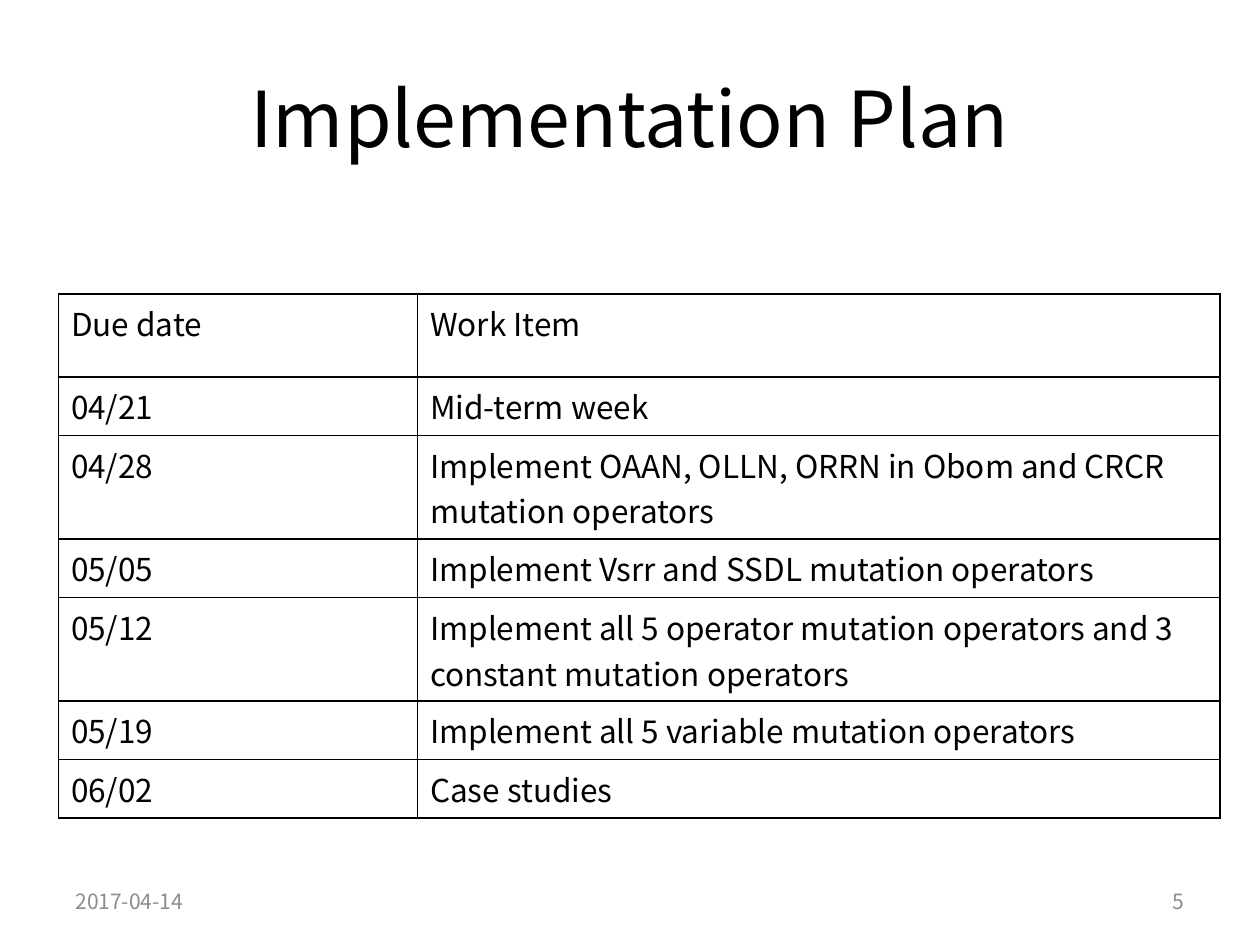
"""Build the implementation plan slide with its schedule of due dates."""
from dataclasses import dataclass

from lxml.etree import SubElement
from pptx import Presentation
from pptx.dml.color import RGBColor
from pptx.enum.text import MSO_ANCHOR, PP_ALIGN
from pptx.oxml.ns import qn
from pptx.slide import Slide
from pptx.table import _Cell
from pptx.text.text import TextFrame
from pptx.util import Pt


@dataclass(frozen=True)
class Theme:
    font: str = "Noto Sans CJK KR"
    ink: str = "000000"
    muted: str = "8C8C8C"
    title_size: float = 44
    body_size: float = 18
    footer_size: float = 12
    border_width: float = 1


@dataclass(frozen=True)
class Label:
    wording: str
    left: float
    top: float
    width: float
    height: float
    size: float
    color: str
    align: PP_ALIGN


@dataclass(frozen=True)
class Task:
    due: str
    work: str
    height: float = 33.4


THEME = Theme()
LABELS = (
    Label("Implementation Plan", 36, 21.6, 648, 90,
          THEME.title_size, THEME.ink, PP_ALIGN.CENTER),
    Label("2017-04-14", 36, 500.4, 168, 28.8,
          THEME.footer_size, THEME.muted, PP_ALIGN.LEFT),
    Label("5", 516, 500.4, 168, 28.8,
          THEME.footer_size, THEME.muted, PP_ALIGN.RIGHT),
)
TALL_ROW = 59.2
TASKS = (
    Task("Due date", "Work Item", 47.5),
    Task("04/21", "Mid-term week"),
    Task("04/28", "Implement OAAN, OLLN, ORRN in Obom and CRCR mutation operators", TALL_ROW),
    Task("05/05", "Implement Vsrr and SSDL mutation operators"),
    Task("05/12", "Implement all 5 operator mutation operators and 3 constant mutation operators", TALL_ROW),
    Task("05/19", "Implement all 5 variable mutation operators"),
    Task("06/02", "Case studies"),
)
COLUMN_WIDTHS = (205.2, 458.64)


def write(frame: TextFrame, wording: str, size: float, color: str, align: PP_ALIGN) -> None:
    """Add one formatted run to the first paragraph."""
    paragraph = frame.paragraphs[0]
    paragraph.alignment = align
    run = paragraph.add_run()
    run.text = wording
    run.font.name = THEME.font
    run.font.size = Pt(size)
    run.font.color.rgb = RGBColor.from_string(color)


def add_label(slide: Slide, label: Label) -> None:
    """Place a wrapped, vertically centred text box."""
    frame = slide.shapes.add_textbox(
        Pt(label.left), Pt(label.top), Pt(label.width), Pt(label.height)).text_frame
    frame.word_wrap = True
    frame.vertical_anchor = MSO_ANCHOR.MIDDLE
    write(frame, label.wording, label.size, label.color, label.align)


def outline(cell: _Cell) -> None:
    """Give a cell solid borders and no fill."""
    properties = cell._tc.get_or_add_tcPr()
    for side in ("a:lnL", "a:lnR", "a:lnT", "a:lnB"):
        border = SubElement(properties, qn(side), w=str(Pt(THEME.border_width)))
        SubElement(SubElement(border, qn("a:solidFill")), qn("a:srgbClr"), val=THEME.ink)
    cell.fill.background()


def add_schedule(slide: Slide) -> None:
    """Draw the table of due dates and work items."""
    schedule = slide.shapes.add_table(
        len(TASKS), len(COLUMN_WIDTHS), Pt(33.4), Pt(168),
        Pt(sum(COLUMN_WIDTHS)), Pt(sum(task.height for task in TASKS))).table
    schedule.first_row = False
    schedule.horz_banding = False
    for column, width in zip(schedule.columns, COLUMN_WIDTHS):
        column.width = Pt(width)
    for row, task in zip(schedule.rows, TASKS):
        row.height = Pt(task.height)
        for cell, wording in zip(row.cells, (task.due, task.work)):
            write(cell.text_frame, wording, THEME.body_size, THEME.ink, PP_ALIGN.LEFT)
            outline(cell)


def main() -> None:
    """Assemble and save the presentation."""
    presentation = Presentation()
    presentation.slide_width, presentation.slide_height = Pt(720), Pt(540)
    slide = presentation.slides.add_slide(presentation.slide_layouts[6])
    for label in LABELS:
        add_label(slide, label)
    add_schedule(slide)
    presentation.save("out.pptx")


main()
